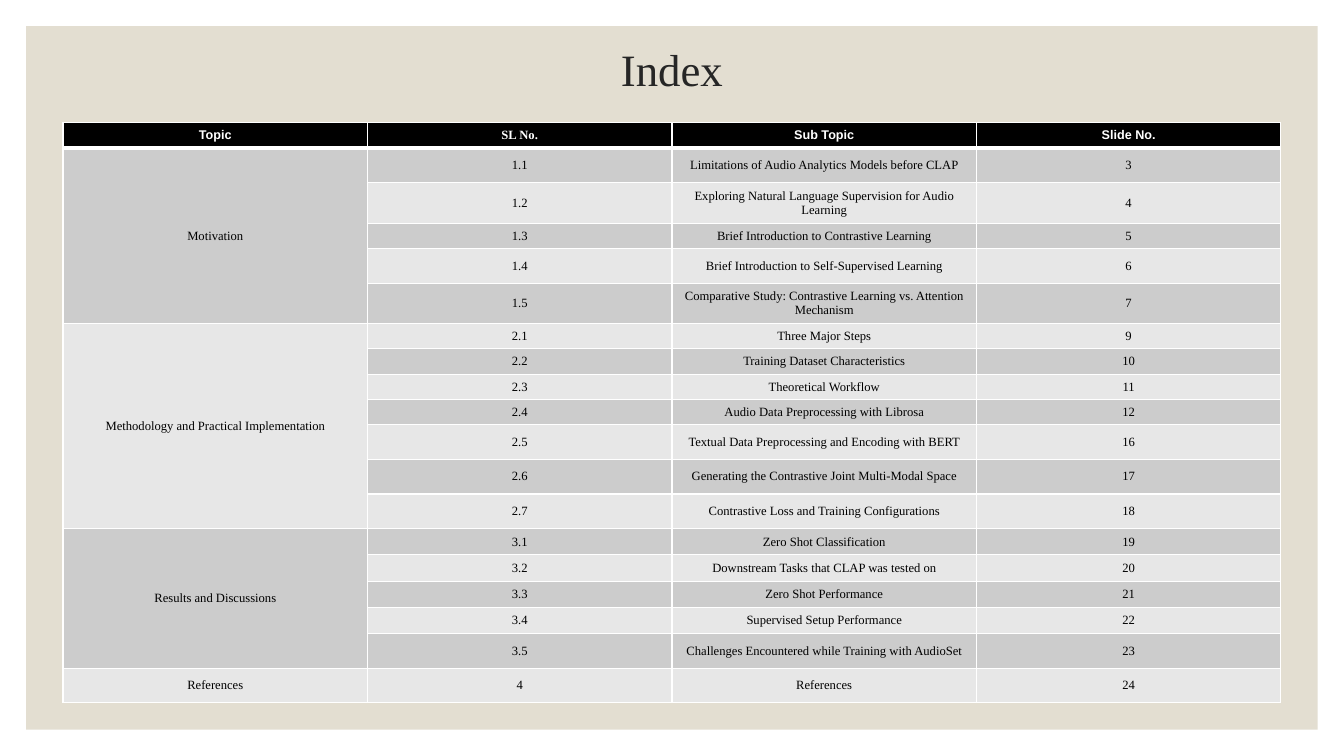
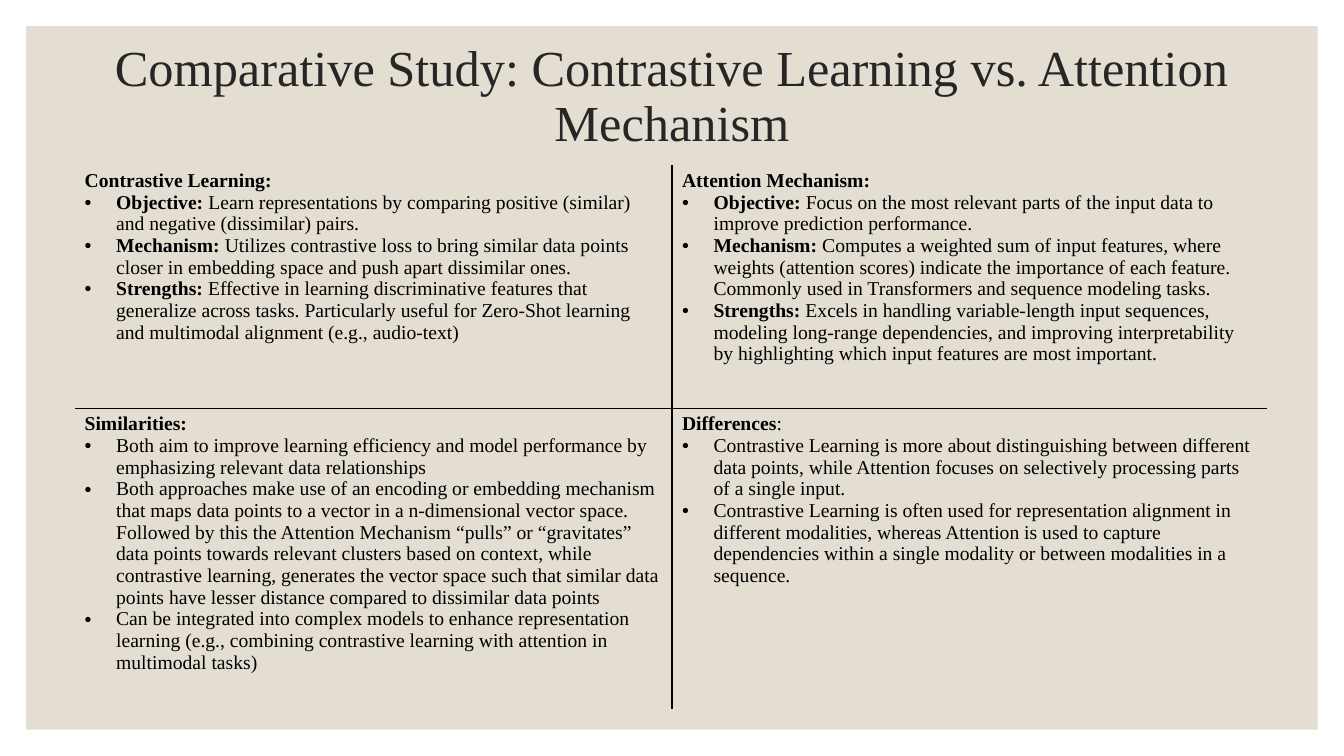
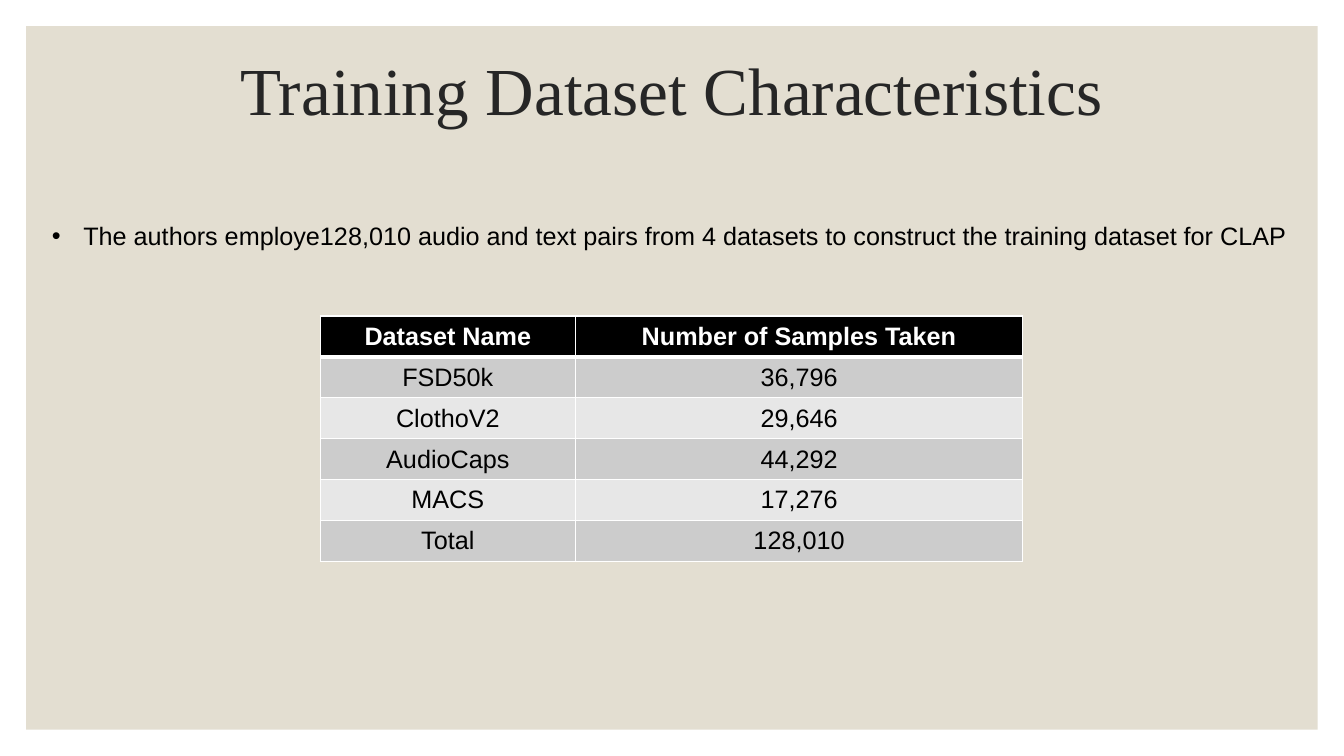
import dataclasses

import lxml.etree
import pptx
import pptx.dml.color
import pptx.enum.shapes
import pptx.enum.text
import pptx.oxml.ns
import pptx.util

ALIGN = pptx.enum.text.PP_ALIGN
ANCHOR = pptx.enum.text.MSO_ANCHOR
PX = 9525  # EMU in one px, 96 px to the inch


@dataclasses.dataclass(frozen=True)
class Theme:
    panel: str = "E3DED1"
    title: str = "262626"
    text: str = "000000"
    light: str = "FFFFFF"
    header: str = "000000"
    stripes: tuple = ("E7E7E7", "CCCCCC")
    serif: str = "Times New Roman"
    sans: str = "Arial"
    index_title: int = 32
    long_title: int = 36
    large_title: int = 48
    index: int = 9
    compare: int = 14
    body: int = 18
    thin: int = 1
    thick: int = 3


THEME = Theme()
WIDTH, HEIGHT, MARGIN = 1280, 720, 25
INDENT = 30

# Index content: (topic, [(sub topic, slide number, row height)])
SHORT, MIDDLE, TALL, DOUBLE = 23, 25, 33, 36
INDEX_HEAD = ("Topic", "SL No.", "Sub Topic", "Slide No.")
TOPICS = [
    ("Motivation", [
        ("Limitations of Audio Analytics Models before CLAP", 3, TALL),
        ("Exploring Natural Language Supervision for Audio Learning", 4, DOUBLE),
        ("Brief Introduction to Contrastive Learning", 5, SHORT),
        ("Brief Introduction to Self-Supervised Learning", 6, TALL),
        ("Comparative Study: Contrastive Learning vs. Attention Mechanism", 7, DOUBLE),
    ]),
    ("Methodology and Practical Implementation", [
        ("Three Major Steps", 9, SHORT),
        ("Training Dataset Characteristics", 10, SHORT),
        ("Theoretical Workflow", 11, SHORT),
        ("Audio Data Preprocessing with Librosa", 12, SHORT),
        ("Textual Data Preprocessing and Encoding with BERT", 16, TALL),
        ("Generating the Contrastive Joint Multi-Modal Space", 17, TALL),
        ("Contrastive Loss and Training Configurations", 18, TALL),
    ]),
    ("Results and Discussions", [
        ("Zero Shot Classification", 19, MIDDLE),
        ("Downstream Tasks that CLAP was tested on", 20, MIDDLE),
        ("Zero Shot Performance", 21, MIDDLE),
        ("Supervised Setup Performance", 22, MIDDLE),
        ("Challenges Encountered while Training with AudioSet", 23, TALL),
    ]),
    ("References", [("References", 24, TALL)]),
]

# Comparison content: (heading, heading tail, [(bold lead, sentence)])
COMPARISON = [
    [
        ("Contrastive Learning:", "", [
            ("Objective:", " Learn representations by comparing positive (similar) and negative "
             "(dissimilar) pairs."),
            ("Mechanism:", " Utilizes contrastive loss to bring similar data points closer in "
             "embedding space and push apart dissimilar ones."),
            ("Strengths:", " Effective in learning discriminative features that generalize across "
             "tasks. Particularly useful for Zero-Shot learning and multimodal alignment "
             "(e.g., audio-text)"),
        ]),
        ("Attention Mechanism:", "", [
            ("Objective:", " Focus on the most relevant parts of the input data to improve "
             "prediction performance."),
            ("Mechanism:", " Computes a weighted sum of input features, where weights (attention "
             "scores) indicate the importance of each feature. Commonly used in Transformers and "
             "sequence modeling tasks."),
            ("Strengths:", " Excels in handling variable-length input sequences, modeling "
             "long-range dependencies, and improving interpretability by highlighting which input "
             "features are most important."),
        ]),
    ],
    [
        ("Similarities:", "", [
            ("", "Both aim to improve learning efficiency and model performance by emphasizing "
             "relevant data relationships"),
            ("", "Both approaches make use of an encoding or embedding mechanism that maps data "
             "points to a vector in a n-dimensional vector space. Followed by this the Attention "
             "Mechanism “pulls” or “gravitates” data points towards relevant clusters based on "
             "context, while contrastive learning, generates the vector space such that similar "
             "data points have lesser distance compared to dissimilar data points"),
            ("", "Can be integrated into complex models to enhance representation learning (e.g., "
             "combining contrastive learning with attention in multimodal tasks)"),
        ]),
        ("Differences", ":", [
            ("", "Contrastive Learning is more about distinguishing between different data points, "
             "while Attention focuses on selectively processing parts of a single input."),
            ("", "Contrastive Learning is often used for representation alignment in different "
             "modalities, whereas Attention is used to capture dependencies within a single "
             "modality or between modalities in a sequence."),
        ]),
    ],
]

DATASETS = [
    ("Dataset Name", "Number of Samples Taken"),
    ("FSD50k", "36,796"),
    ("ClothoV2", "29,646"),
    ("AudioCaps", "44,292"),
    ("MACS", "17,276"),
    ("Total", "128,010"),
]


def px(*lengths):
    return [pptx.util.Emu(length * PX) for length in lengths]


def rgb(value):
    return pptx.dml.color.RGBColor.from_string(value)


# Text
def write(para, text, size=THEME.body, font=THEME.sans, color=THEME.text, bold=False,
          align=ALIGN.LEFT, spacing=1.0):
    para.alignment = align
    para.line_spacing = spacing
    span = para.add_run()
    span.text = text
    span.font.size = pptx.util.Pt(size)
    span.font.name = font
    span.font.bold = bold
    span.font.color.rgb = rgb(color)


def add_bullet(para):
    properties = para._p.get_or_add_pPr()
    properties.set("marL", str(INDENT * PX))
    properties.set("indent", str(-INDENT * PX))
    for tag, name, value in (("a:buFont", "typeface", THEME.sans), ("a:buChar", "char", "•")):
        mark = lxml.etree.SubElement(properties, pptx.oxml.ns.qn(tag))
        mark.set(name, value)


def add_text(page, text, left, top, width, height, anchor=ANCHOR.TOP, bullet=False, **style):
    box = page.shapes.add_textbox(*px(left, top, width, height))
    box.text_frame.word_wrap = True
    box.text_frame.vertical_anchor = anchor
    para = box.text_frame.paragraphs[0]
    write(para, text, **style)
    if bullet:
        add_bullet(para)


# Shared page: panel and title
def add_page(deck, title, size, top, height):
    page = deck.slides.add_slide(deck.slide_layouts[6])
    panel = page.shapes.add_shape(
        pptx.enum.shapes.MSO_SHAPE.RECTANGLE,
        *px(MARGIN, MARGIN, WIDTH - 2 * MARGIN, HEIGHT - 2 * MARGIN))
    panel.shadow.inherit = False
    panel.fill.solid()
    panel.fill.fore_color.rgb = rgb(THEME.panel)
    panel.line.fill.background()
    add_text(page, title, 92, top, WIDTH - 2 * 92, height, anchor=ANCHOR.MIDDLE, size=size,
             font=THEME.serif, color=THEME.title, align=ALIGN.CENTER, spacing=0.9)
    return page


# Tables
def add_table(page, left, top, widths, heights):
    frame = page.shapes.add_table(len(heights), len(widths),
                                  *px(left, top, sum(widths), sum(heights)))
    table = frame.table
    table.first_row = table.horz_banding = False
    for column, width in zip(table.columns, px(*widths)):
        column.width = width
    for row, height in zip(table.rows, px(*heights)):
        row.height = height
    return table


def set_borders(cell, color, **widths):
    """Draw the named sides (L, R, T, B) at their point widths; hide the others."""
    properties = cell._tc.get_or_add_tcPr()
    for position, side in enumerate("LRTB"):
        line = lxml.etree.Element(pptx.oxml.ns.qn("a:ln" + side))
        if side in widths:
            line.set("w", str(pptx.util.Pt(widths[side])))
            fill = lxml.etree.SubElement(line, pptx.oxml.ns.qn("a:solidFill"))
            lxml.etree.SubElement(fill, pptx.oxml.ns.qn("a:srgbClr")).set("val", color)
        else:
            lxml.etree.SubElement(line, pptx.oxml.ns.qn("a:noFill"))
        properties.insert(position, line)


def fill_striped(table, rows, size, font):
    """Fill a table with a black header row and grey stripes, all centred."""
    for row, values in enumerate(rows):
        for column, value in enumerate(values):
            cell = table.cell(row, column)
            cell.vertical_anchor = ANCHOR.MIDDLE
            cell.fill.solid()
            cell.fill.fore_color.rgb = rgb(THEME.stripes[row % 2] if row else THEME.header)
            set_borders(cell, THEME.light, L=THEME.thin, R=THEME.thin,
                        T=THEME.thick if row == 1 else THEME.thin,
                        B=THEME.thin if row else THEME.thick)
            if value:
                serif_head = value == "SL No."
                write(cell.text_frame.paragraphs[0], value, size=size, bold=row == 0,
                      font=font if row or serif_head else THEME.sans,
                      color=THEME.text if row else THEME.light, align=ALIGN.CENTER)


# Slides
def build_index(deck):
    page = add_page(deck, "Index", THEME.index_title, 32, 74)
    rows, heights, groups = [INDEX_HEAD], [SHORT], []
    for number, (topic, entries) in enumerate(TOPICS, 1):
        groups.append((len(rows), len(rows) + len(entries) - 1))
        for part, (subtopic, slide_number, height) in enumerate(entries, 1):
            label = f"{number}.{part}" if len(entries) > 1 else str(number)
            rows.append((topic if part == 1 else "", label, subtopic, str(slide_number)))
            heights.append(height)
    table = add_table(page, 60, 117, [290] * 4, heights)
    fill_striped(table, rows, THEME.index, THEME.serif)
    for first, last in groups:
        if last > first:
            table.cell(first, 0).merge(table.cell(last, 0))


def build_comparison(deck):
    page = add_page(deck, "Comparative Study: Contrastive Learning vs. Attention Mechanism",
                    THEME.long_title, 29, 128)
    table = add_table(page, 71, 157, [569, 567], [232, 286])
    style = {"size": THEME.compare, "font": THEME.serif}
    for row, quadrants in enumerate(COMPARISON):
        for column, (heading, tail, points) in enumerate(quadrants):
            cell = table.cell(row, column)
            cell.fill.background()
            inner_sides = ("RL"[column], "BT"[row])
            set_borders(cell, THEME.text, **dict.fromkeys(inner_sides, THEME.thin))
            para = cell.text_frame.paragraphs[0]
            write(para, heading, bold=True, **style)
            if tail:
                write(para, tail, **style)
            for lead, sentence in points:
                para = cell.text_frame.add_paragraph()
                if lead:
                    write(para, lead, bold=True, **style)
                write(para, sentence, **style)
                add_bullet(para)


def build_datasets(deck):
    page = add_page(deck, "Training Dataset Characteristics", THEME.large_title, 30, 118)
    table = add_table(page, 305, 301, [243, 426], [39] * len(DATASETS))
    fill_striped(table, DATASETS, THEME.body, THEME.sans)
    add_text(page, "The authors employe128,010 audio and text pairs from 4 datasets to construct "
             "the training dataset for CLAP", 40, 205, 1200, 38, bullet=True)


def main():
    deck = pptx.Presentation()
    deck.slide_width, deck.slide_height = px(WIDTH, HEIGHT)
    build_index(deck)
    build_comparison(deck)
    build_datasets(deck)
    deck.save("out.pptx")


if __name__ == "__main__":
    main()
